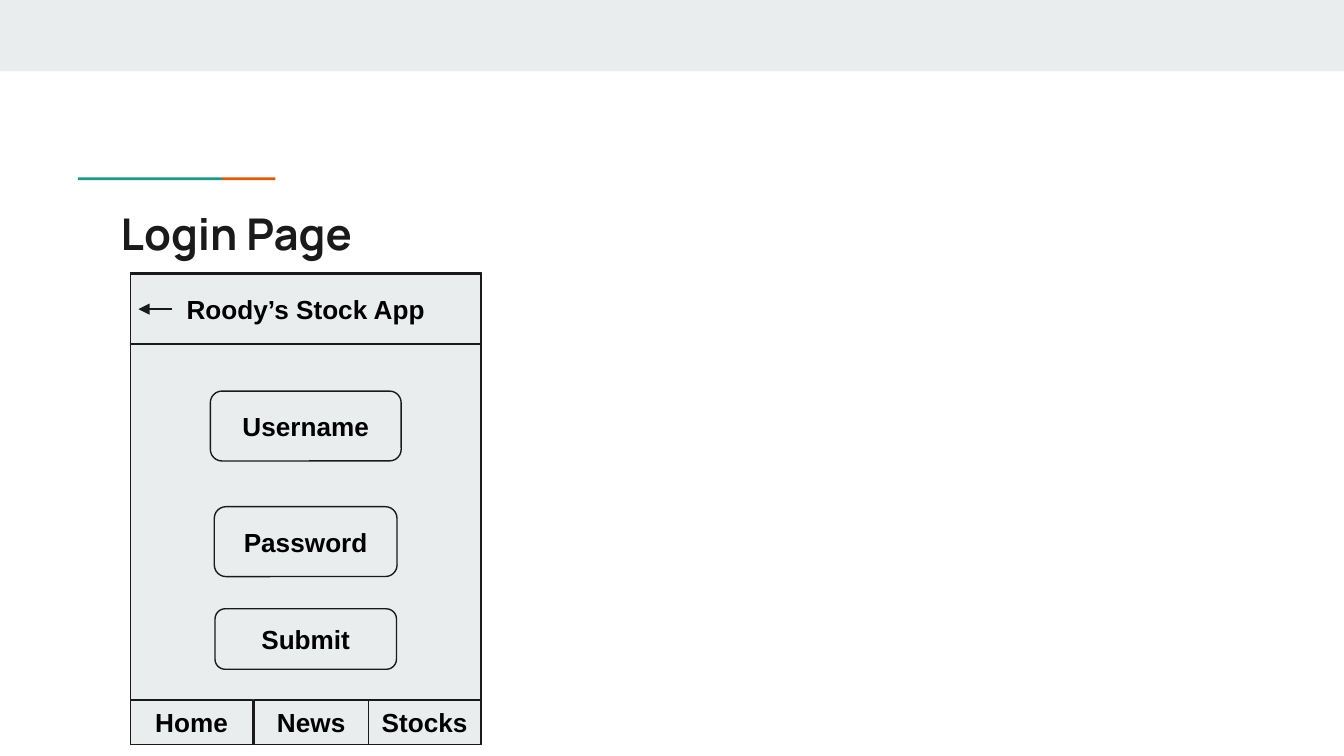
from lxml import etree
from pptx import Presentation
from pptx.dml.color import RGBColor
from pptx.enum.shapes import MSO_CONNECTOR, MSO_SHAPE
from pptx.enum.text import MSO_ANCHOR, PP_ALIGN
from pptx.oxml.ns import qn
from pptx.util import Inches, Pt

RECT, ROUND = MSO_SHAPE.RECTANGLE, MSO_SHAPE.ROUNDED_RECTANGLE
LINE = MSO_CONNECTOR.STRAIGHT
TOP, MIDDLE = MSO_ANCHOR.TOP, MSO_ANCHOR.MIDDLE
LEFT, CENTER = PP_ALIGN.LEFT, PP_ALIGN.CENTER

GRAY = RGBColor(0xE9, 0xED, 0xEE)
TEAL = RGBColor(0x1A, 0x99, 0x88)
ORANGE = RGBColor(0xEB, 0x56, 0x00)
INK = RGBColor(0x1A, 0x1A, 0x1A)
BLACK = RGBColor(0, 0, 0)

WIDE = 10
HIGH = WIDE * 9 / 16
PHONE = (0.97, 2.03, 2.61, 3.51)
FIELDS = [("Username", 0.88, 1.42, 0.52), ("Password", 1.74, 1.36, 0.52),
          ("Submit", 2.5, 1.35, 0.45)]
TABS = [("Home", 0, 0.91), ("News", 0.92, 0.85), ("Stocks", 1.77, 0.84)]


def write(shape, text, size=14, font="Arial", color=BLACK,
          align=CENTER, anchor=MIDDLE, wrap=False):
    frame = shape.text_frame
    frame.word_wrap = wrap
    frame.vertical_anchor = anchor
    frame.margin_left = frame.margin_right = Inches(0.1)
    frame.margin_top = frame.margin_bottom = Inches(0.1)
    para = frame.paragraphs[0]
    para.alignment = align
    run = para.add_run()
    run.text = text
    run.font.size = Pt(size)
    run.font.name = font
    run.font.bold = True
    run.font.color.rgb = color


def block(slide, box, kind=RECT, fill=GRAY, line=None, text=None):
    shape = slide.shapes.add_shape(kind, *map(Inches, box))
    shape.shadow.inherit = False
    shape.fill.solid()
    shape.fill.fore_color.rgb = fill
    if line is None:
        shape.line.fill.background()
    else:
        shape.line.color.rgb = line
        shape.line.width = Pt(0.75)
    if text:
        write(shape, text)


def arrow(slide, start, end):
    link = slide.shapes.add_connector(LINE, *map(Inches, start + end))
    link.line.color.rgb = INK
    link.line.width = Pt(0.75)
    props = link.line._get_or_add_ln()
    etree.SubElement(props, qn("a:tailEnd"), type="triangle")
    etree.SubElement(link._element.spPr, qn("a:effectLst"))


def accent(slide, box):
    x, y, w, h = box
    split = w * 0.73
    block(slide, (x + split, y, w - split, h), fill=ORANGE)
    block(slide, (x, y, split, h), fill=TEAL)


def title(slide, box):
    label = slide.shapes.add_textbox(*map(Inches, box))
    write(label, "Login Page", size=23.4, font="Manrope", color=INK,
          align=LEFT, anchor=TOP, wrap=True)


def tabs(slide, box):
    x, y, w, h = box
    for name, left, wide in TABS:
        block(slide, (x + left, y, wide, h), line=INK, text=name)


def fields(slide, box):
    x, y, w, h = box
    for name, down, wide, high in FIELDS:
        spot = (x + (w - wide) / 2, y + down, wide, high)
        block(slide, spot, kind=ROUND, line=INK, text=name)


def header(slide, box):
    x, y, w, h = box
    block(slide, box, line=INK, text="Roody’s Stock App")
    mid = y + h / 2
    arrow(slide, (x + 0.31, mid), (x + 0.06, mid))


def phone(slide, box):
    x, y, w, h = box
    block(slide, box, line=INK)
    tabs(slide, (x, y + h - 0.33, w, 0.33))
    fields(slide, box)
    header(slide, (x, y + 0.01, w, 0.52))


def main():
    deck = Presentation()
    deck.slide_width, deck.slide_height = Inches(WIDE), Inches(HIGH)
    slide = deck.slides.add_slide(deck.slide_layouts[6])
    block(slide, (0, 0, WIDE, 0.53))
    accent(slide, (0.58, 1.32, 1.47, 0.02))
    title(slide, (0.8, 1.44, 8.41, 0.59))
    phone(slide, PHONE)
    deck.save("out.pptx")


if __name__ == "__main__":
    main()
